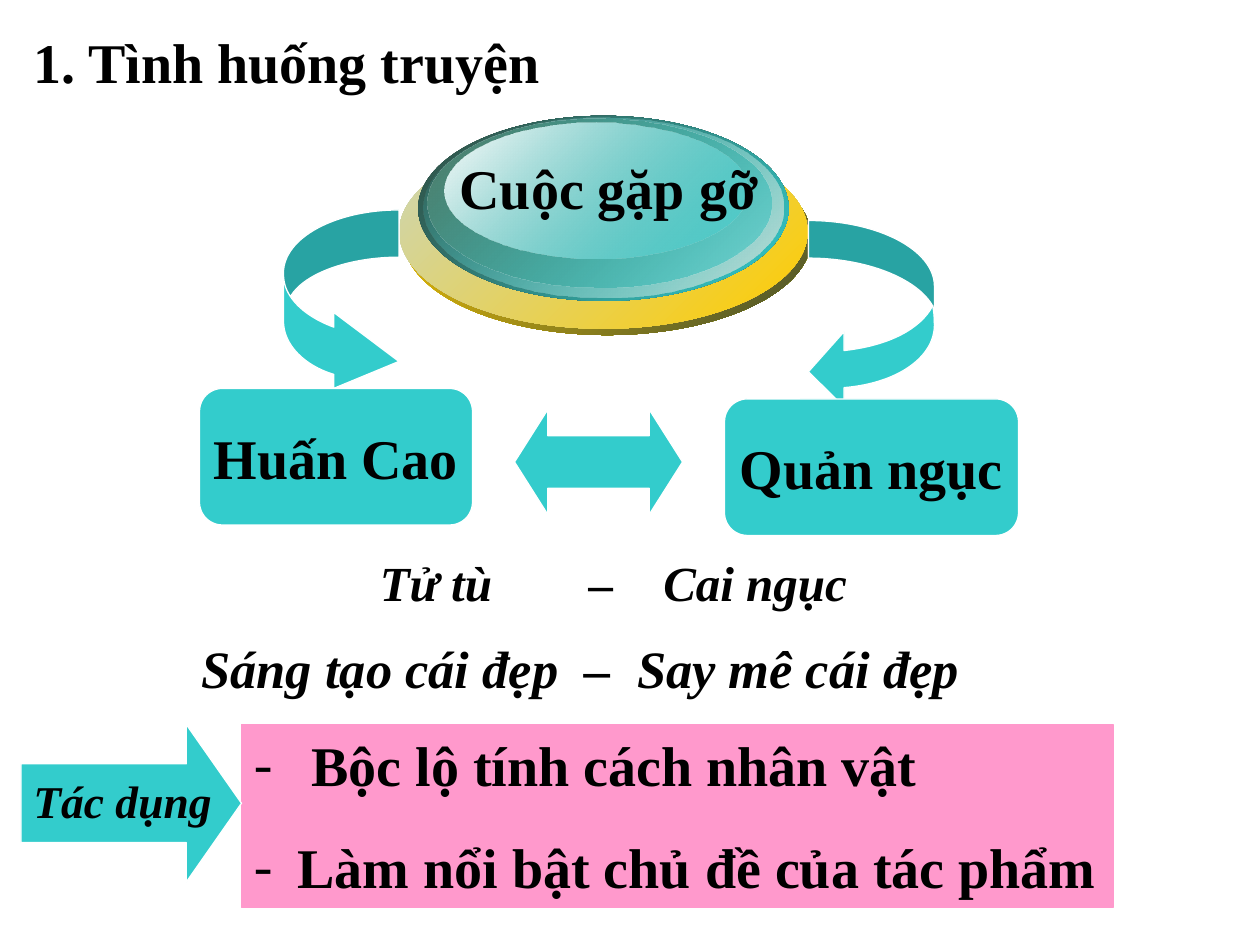
from copy import deepcopy

from lxml import etree
from pptx import Presentation
from pptx.dml.color import RGBColor
from pptx.enum.shapes import MSO_SHAPE
from pptx.enum.text import MSO_ANCHOR, PP_ALIGN
from pptx.oxml.ns import qn
from pptx.util import Pt

OVAL = MSO_SHAPE.OVAL
ROUND_RECT = MSO_SHAPE.ROUNDED_RECTANGLE
RECT = MSO_SHAPE.RECTANGLE
DOUBLE_ARROW = MSO_SHAPE.LEFT_RIGHT_ARROW
RIGHT_ARROW = MSO_SHAPE.RIGHT_ARROW
LEFT, CENTER = PP_ALIGN.LEFT, PP_ALIGN.CENTER
MIDDLE, TOP = MSO_ANCHOR.MIDDLE, MSO_ANCHOR.TOP

BLACK = RGBColor(0x00, 0x00, 0x00)
WHITE = RGBColor(0xFF, 0xFF, 0xFF)
TEAL = RGBColor(0x33, 0xCC, 0xCC)
PINK = RGBColor(0xFF, 0x99, 0xCC)
GOLD = RGBColor(0xFF, 0xCC, 0x00)
OLIVE = RGBColor(0x44, 0x4F, 0x2E)
SAGE = RGBColor(0xCC, 0xD6, 0xB8)
FOREST = RGBColor(0x2F, 0x49, 0x3E)
MIST = RGBColor(0xCA, 0xDD, 0xD5)
MOSS = RGBColor(0x51, 0x7D, 0x6A)

# Toned letters, their base letters and the combining tone mark
TONES = [
    ("ìùàề", "iuaê", 0x300),
    ("ốấáí", "ôâai", 0x301),
    ("ỡ", "ơ", 0x303),
    ("ảửổủẩ", "aưôuâ", 0x309),
    ("ộặệụạẹậ", "ôăêuaeâ", 0x323),
]
TONE_MAP = {ord(letter): base + chr(mark)
            for letters, bases, mark in TONES for letter, base in zip(letters, bases)}

# box in points, start colour and opacity, end colour and opacity (percent)
MEDALLION = [
    ((230.4, 80.6, 233.3, 110.9), (GOLD, 100), (OLIVE, 100)),
    ((228.2, 77, 233.3, 110.9), (SAGE, 100), (GOLD, 100)),
    ((239, 66.2, 211.7, 105.8), (FOREST, 100), (TEAL, 100)),
    ((241.9, 67, 205.9, 103), (TEAL, 0), (MIST, 100)),
    ((244.1, 67.7, 196.6, 96.5), (MOSS, 100), (TEAL, 48)),
    ((254.2, 69.8, 172.8, 77.8), (WHITE, 100), (TEAL, 38)),
]

# Outlines in points: two numbers are a corner, six are a Bézier curve
LEFT_ARROW = [
    (228, 120), (191.5, 120, 162, 136, 162, 156), (162, 183.6),
    (162, 197, 174, 209, 190.8, 214), (190.8, 222), (228, 206.6),
    (190.8, 178.6), (190.8, 187), (180, 183, 171, 177, 166, 169.5),
    (174, 156, 200, 147, 228, 147)]
LEFT_BAND = [
    (228, 120), (191.5, 120, 162, 136, 162, 156),
    (162, 161, 163, 165, 166, 169.5), (174, 156, 200, 147, 228, 147)]
RIGHT_CURVED_ARROW = [
    (462, 126), (502, 126, 534, 143, 534, 163.5), (534, 185.8),
    (534, 204, 513, 219, 482.4, 221.5), (482.4, 232.6), (462, 212.4),
    (482.4, 189.5), (482.4, 200.3), (508, 197.5, 526, 188, 533, 174.8),
    (524, 159, 495, 147.5, 462, 147.5)]
RIGHT_BAND = [
    (462, 126), (502, 126, 534, 143, 534, 163.5), (534, 185.8),
    (534, 182, 533.8, 178, 533, 174.8), (524, 159, 495, 147.5, 462, 147.5)]


def paint(sp, fill, line):
    sp.shadow.inherit = False
    sp.fill.solid()
    sp.fill.fore_color.rgb = fill
    sp.line.color.rgb = line
    sp.line.width = Pt(0.75)


def add_shape(s, kind, box, adjustments=(), fill=TEAL, line=WHITE):
    sp = s.shapes.add_shape(kind, *map(Pt, box))
    for i, value in enumerate(adjustments):
        sp.adjustments[i] = value
    paint(sp, fill, line)
    return sp


def add_gradient_oval(group, box, *ends):
    sp = group.shapes.add_shape(OVAL, *map(Pt, box))
    sp.shadow.inherit = False
    sp.line.fill.background()
    sp.fill.gradient()
    sp.fill.gradient_angle = 315
    for stop, (color, _) in zip(sp.fill.gradient_stops, ends):
        stop.color.rgb = color
    for clr, (_, opacity) in zip(sp._element.spPr.iter(qn("a:srgbClr")), ends):
        if opacity < 100:
            etree.SubElement(clr, qn("a:alpha"), val=str(opacity * 1000))


def end_points(outline):
    return [(Pt(part[-2]), Pt(part[-1])) for part in outline]


def add_curved_arrow(s, arrow, band):
    """Curved arrow whose band is a second, darker path of the same shape."""
    start, *rest = end_points(arrow)
    builder = s.shapes.build_freeform(*start, scale=1.0)
    builder.add_line_segments(rest, close=True)
    start, *rest = end_points(band)
    builder.move_to(*start)
    builder.add_line_segments(rest, close=True)
    sp = builder.convert_to_shape()
    paint(sp, TEAL, WHITE)

    outline = next(sp._element.iter(qn("a:path")))
    for seg, part in zip(list(outline.iter(qn("a:lnTo"))), arrow[1:] + band[1:]):
        if len(part) == 6:
            seg.tag = qn("a:cubicBezTo")
            for i in (0, 2):
                pt = etree.Element(qn("a:pt"), x=str(Pt(part[i]) - sp.left),
                                   y=str(Pt(part[i + 1]) - sp.top))
                seg.insert(i // 2, pt)
    shade = deepcopy(outline)
    shade.set("fill", "darkenLess")
    outline.addnext(shade)
    split = len(arrow) + 1
    for child in list(outline)[split:]:
        outline.remove(child)
    for child in list(shade)[:split]:
        shade.remove(child)


def add_tabs(p, stops):
    tabs = etree.SubElement(p._p.get_or_add_pPr(), qn("a:tabLst"))
    for pos in stops:
        etree.SubElement(tabs, qn("a:tab"), pos=str(Pt(pos)), algn="l")


def add_dash(p, indent):
    pPr = p._p.get_or_add_pPr()
    pPr.set("marL", str(Pt(indent)))
    pPr.set("indent", str(-Pt(indent)))
    etree.SubElement(pPr, qn("a:buFont"), typeface="Times New Roman")
    etree.SubElement(pPr, qn("a:buChar"), char="-")


def write(p, text, size=32, italic=False, align=LEFT):
    """Add a bold run, with tones as combining marks."""
    p.alignment = align
    r = p.add_run()
    r.text = text.translate(TONE_MAP)
    r.font.color.rgb = BLACK
    formats = {"name": "Times New Roman", "size": Pt(size), "bold": True, "italic": italic}
    for key, value in formats.items():
        setattr(r.font, key, value)


def add_text(s, box, text, tabs=(), **formats):
    tf = s.shapes.add_textbox(*map(Pt, box)).text_frame
    tf.word_wrap = True
    p = tf.paragraphs[0]
    if tabs:
        add_tabs(p, tabs)
    write(p, text, **formats)


def add_name_box(s, box, name):
    tf = add_shape(s, ROUND_RECT, box, [0.167]).text_frame
    tf.word_wrap = False
    tf.vertical_anchor = MIDDLE
    write(tf.paragraphs[0], name, align=CENTER)


def add_effects(s, box, items):
    """Pink panel with dashed items, each given as (text, indent)."""
    tf = add_shape(s, RECT, box, fill=PINK, line=PINK).text_frame
    tf.word_wrap = True
    tf.vertical_anchor = TOP
    for i, (text, indent) in enumerate(items):
        p = tf.add_paragraph() if i else tf.paragraphs[0]
        add_dash(p, indent)
        if i:
            p.space_before = Pt(20)
        write(p, text)


def main():
    prs = Presentation()
    prs.slide_width, prs.slide_height = Pt(720), Pt(540)
    s = prs.slides.add_slide(prs.slide_layouts[6])

    group = s.shapes.add_group_shape()
    for box, start, end in MEDALLION:
        add_gradient_oval(group, box, start, end)
    add_text(s, (252, 84, 192, 46), "Cuộc gặp gỡ", align=CENTER)
    add_text(s, (12, 12, 312, 46), "1. Tình huống truyện")
    add_curved_arrow(s, LEFT_ARROW, LEFT_BAND)
    add_curved_arrow(s, RIGHT_CURVED_ARROW, RIGHT_BAND)

    add_name_box(s, (114, 222, 156, 78), "Huấn Cao")
    add_name_box(s, (414, 228, 168, 78), "Quản ngục")
    add_shape(s, DOUBLE_ARROW, (294, 234, 96, 60), [0.5, 0.317])

    add_text(s, (210, 312, 288, 41), "Tử tù\t–\tCai ngục", (119.5, 162), size=28, italic=True)
    add_text(s, (108, 360, 498, 43), "Sáng tạo cái đẹp\t–\tSay mê cái đẹp", (219, 249),
             size=30, italic=True)

    add_effects(s, (138, 414, 498, 104.4), [
        ("Bộc lộ tính cách nhân vật", 33),
        ("Làm nổi bật chủ đề của tác phẩm", 25)])
    add_shape(s, RIGHT_ARROW, (12, 414, 126, 90), [0.5, 0.35])
    add_text(s, (12, 438, 120, 39), "Tác dụng", size=26, italic=True)

    prs.save("out.pptx")


if __name__ == "__main__":
    main()
